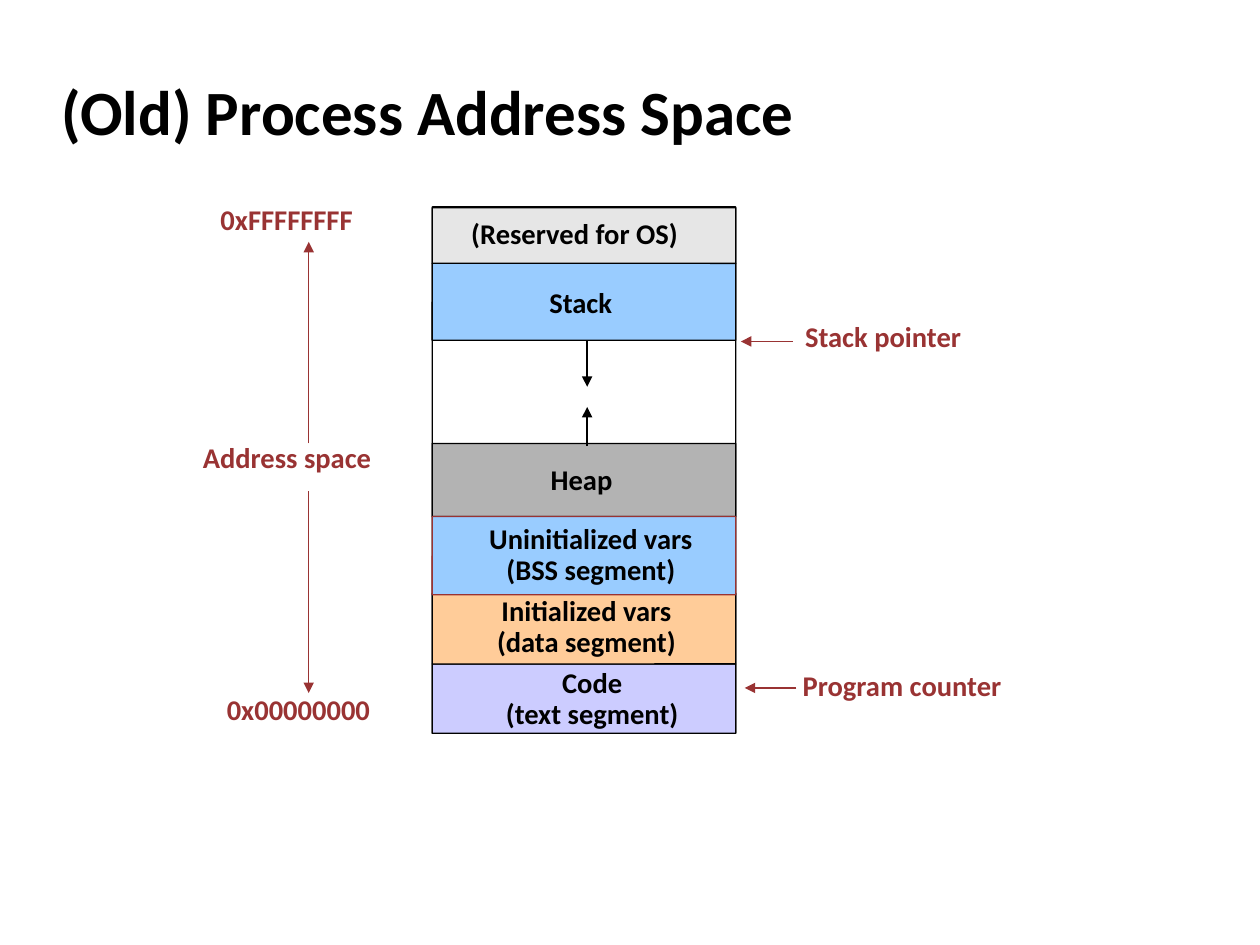
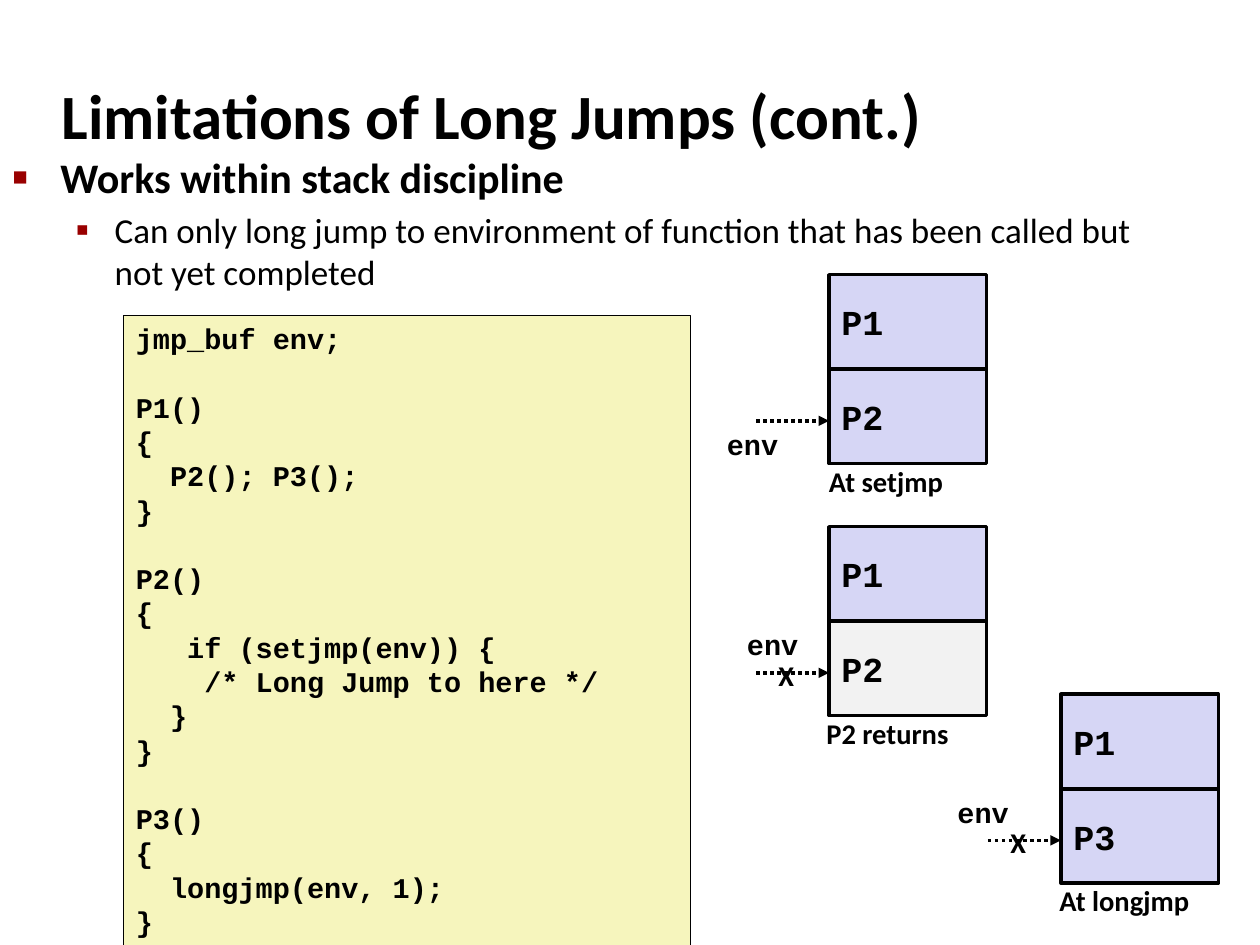
from dataclasses import dataclass

from lxml import etree
from pptx import Presentation
from pptx import util as u
from pptx.dml.color import RGBColor
from pptx.enum import dml, shapes, text
from pptx.oxml import ns

COLORS = {
    "ink": "000000",
    "accent": "993333",
    "bullet": "990000",
    "blue": "99CCFF",
    "lilac": "CCCCFF",
    "orange": "FFCC99",
    "heap": "B3B3B3",
    "reserved": "E6E6E6",
    "code": "F6F5BD",
    "frame": "D6D6F5",
    "dead_frame": "F2F2F2",
}
SANS, MONO = "Calibri", "Courier New"
LABEL_SIZE = 16.3
THIN = 0.74


@dataclass
class Segment:
    top: float
    height: float
    fill: str | None
    line: str = "ink"


@dataclass
class Label:
    lines: tuple[str, ...]
    left: float
    top: float
    width: float
    height: float = 0.26
    color: str = "ink"


@dataclass
class Arrow:
    start: tuple[float, float]
    end: tuple[float, float]
    color: str = "ink"


@dataclass
class CallStack:
    left: float
    top: float
    callee: str
    callee_fill: str
    caption: str
    caption_dx: float
    caption_width: float
    env_dx: float
    env_dy: float
    broken: bool


def rgb(name: str) -> RGBColor:
    return RGBColor.from_string(COLORS[name])


def style(paragraph, size: float, face: str = SANS, color: str = "ink", bold: bool = True) -> None:
    font = paragraph.font
    font.size, font.name, font.bold = u.Pt(size), face, bold
    font.color.rgb = rgb(color)


def indent(paragraph, margin: float, first: float):
    properties = paragraph._p.get_or_add_pPr()
    properties.set("marL", str(u.Inches(margin)))
    properties.set("indent", str(u.Inches(first)))
    return properties


def place(item, left: float, top: float, width: float, height: float) -> None:
    item.left, item.top = u.Inches(left), u.Inches(top)
    item.width, item.height = u.Inches(width), u.Inches(height)


def add_title(slide, wording: str, spacing: float = 1.0) -> None:
    title = slide.shapes.title
    place(title, 0.39, 0.49, 8.3, 0.83)
    frame = title.text_frame
    frame.text = wording
    frame.auto_size = text.MSO_AUTO_SIZE.NONE
    frame.vertical_anchor = text.MSO_ANCHOR.MIDDLE
    heading = frame.paragraphs[0]
    heading.alignment = text.PP_ALIGN.LEFT
    heading.line_spacing = spacing
    indent(heading, 0.13, -0.13)
    style(heading, 36)


def add_bullet(paragraph, wording: str, level: int, margin: float, first: float,
               mark: str, percent: int, size: float, bold: bool) -> None:
    paragraph.text = wording
    paragraph.level = level
    properties = indent(paragraph, margin, first)
    tint = etree.SubElement(properties, ns.qn("a:buClr"))
    etree.SubElement(tint, ns.qn("a:srgbClr")).set("val", COLORS["bullet"])
    etree.SubElement(properties, ns.qn("a:buSzPct")).set("val", str(percent * 1000))
    etree.SubElement(properties, ns.qn("a:buChar")).set("char", mark)
    style(paragraph, size, bold=bold)


def add_box(parent, kind, left: float, top: float, width: float, height: float,
            fill: str | None, line: str, weight: float):
    box = parent.add_shape(kind, *map(u.Inches, (left, top, width, height)))
    box.shadow.inherit = False
    if fill:
        box.fill.solid()
        box.fill.fore_color.rgb = rgb(fill)
    else:
        box.fill.background()
    box.line.color.rgb = rgb(line)
    box.line.width = u.Pt(weight)
    return box


def add_arrow(parent, arrow: Arrow, weight: float = THIN, dotted: bool = False) -> None:
    ends = map(u.Inches, (*arrow.start, *arrow.end))
    connector = parent.add_connector(shapes.MSO_CONNECTOR.STRAIGHT, *ends)
    connector.line.color.rgb = rgb(arrow.color)
    connector.line.width = u.Pt(weight)
    if dotted:
        connector.line.dash_style = dml.MSO_LINE.ROUND_DOT
    properties = connector._element.spPr
    outline = properties.find(ns.qn("a:ln"))
    etree.SubElement(outline, ns.qn("a:tailEnd")).set("type", "triangle")
    etree.SubElement(properties, ns.qn("a:effectLst"))


def add_segment(parent, segment: Segment) -> None:
    box = add_box(parent, shapes.MSO_SHAPE.ROUNDED_RECTANGLE, 3.43, segment.top, 2.41,
                  segment.height, segment.fill, segment.line, THIN)
    box.adjustments[0] = 0.003


def add_label(parent, label: Label) -> None:
    box = parent.add_textbox(*map(u.Inches, (label.left, label.top, label.width, label.height)))
    frame = box.text_frame
    frame.margin_left = frame.margin_right = frame.margin_top = frame.margin_bottom = 0
    frame.word_wrap = False
    frame.text = "\n".join(label.lines)
    for index, paragraph in enumerate(frame.paragraphs):
        paragraph.line_spacing = 0.9 if index else 0.93
        if len(label.lines) > 1:
            paragraph.alignment = text.PP_ALIGN.CENTER
        style(paragraph, LABEL_SIZE, color=label.color)


def add_note(parent, wording: str, left: float, top: float, width: float, face: str = SANS) -> None:
    box = parent.add_textbox(*map(u.Inches, (left, top, width, 0.38)))
    frame = box.text_frame
    frame.word_wrap = False
    frame.auto_size = text.MSO_AUTO_SIZE.SHAPE_TO_FIT_TEXT
    frame.text = wording
    style(frame.paragraphs[0], LABEL_SIZE, face)


def add_call_stack(slide, stack: CallStack) -> None:
    group = slide.shapes.add_group_shape().shapes
    left, top = stack.left, stack.top
    frames = (("P1", "frame"), (stack.callee, stack.callee_fill))
    for row, (function, fill) in enumerate(frames):
        box = add_box(group, shapes.MSO_SHAPE.RECTANGLE, left, top + 0.75 * row,
                      1.25, 0.75, fill, "ink", 2)
        box.text_frame.word_wrap = False
        box.text_frame.vertical_anchor = text.MSO_ANCHOR.MIDDLE
        box.text_frame.text = function
        name = box.text_frame.paragraphs[0]
        name.alignment = text.PP_ALIGN.LEFT
        style(name, 20, MONO)
    add_arrow(group, Arrow((left - 0.58, top + 1.16), (left, top + 1.16)), 2, dotted=True)
    add_note(group, stack.caption, left + stack.caption_dx, top + 1.45, stack.caption_width)
    add_note(group, "env", left + stack.env_dx, top + stack.env_dy, 0.61, MONO)
    if stack.broken:
        add_note(group, "X", left - 0.5, top + 0.99, 0.33)


def add_code(slide, lines: tuple[str, ...]) -> None:
    listing = add_box(slide.shapes, shapes.MSO_SHAPE.RECTANGLE, 0.98, 2.5, 4.5, 5.05,
                      "code", "ink", 0.25)
    frame = listing.text_frame
    frame.vertical_anchor = text.MSO_ANCHOR.TOP
    frame.text = "\n".join(line.lstrip() for line in lines)
    line_height = u.Pt(19.6)
    character_width = LABEL_SIZE * 0.6 / 72
    for line, paragraph in zip(lines, frame.paragraphs):
        paragraph.alignment = text.PP_ALIGN.LEFT
        paragraph.line_spacing = line_height
        if line.endswith("()"):
            paragraph.space_before = line_height
        indent(paragraph, (len(line) - len(line.lstrip())) * character_width, 0)
        style(paragraph, LABEL_SIZE, MONO)


SEGMENTS = (
    Segment(1.64, 4.18, None),
    Segment(2.09, 0.61, "blue"),
    Segment(5.27, 0.55, "lilac"),
    Segment(4.71, 0.56, "orange"),
    Segment(3.52, 0.58, "heap"),
    Segment(4.1, 0.62, "blue", "accent"),
    Segment(1.65, 0.44, "reserved"),
)
LABELS = (
    Label(("(Reserved for OS)",), 3.74, 1.74, 1.9),
    Label(("Stack",), 4.36, 2.29, 0.59),
    Label(("Heap",), 4.37, 3.69, 0.58),
    Label(("Uninitialized vars", "(BSS segment)"), 3.73, 4.16, 1.92, 0.53),
    Label(("Initialized vars", "(data segment)"), 3.84, 4.73, 1.63, 0.53),
    Label(("Code", "(text segment)"), 3.91, 5.3, 1.58, 0.53),
    Label(("0xFFFFFFFF",), 1.75, 1.63, 1.44, color="accent"),
    Label(("Address space",), 1.61, 3.52, 1.61, color="accent"),
    Label(("0x00000000",), 1.8, 5.52, 1.36, color="accent"),
    Label(("Stack pointer",), 6.39, 2.56, 1.43, color="accent"),
    Label(("Program counter",), 6.37, 5.33, 1.85, color="accent"),
)
ARROWS = (
    Arrow((4.66, 2.71), (4.66, 3.07)),
    Arrow((4.66, 3.54), (4.66, 3.23)),
    Arrow((2.45, 3.52), (2.45, 1.92), "accent"),
    Arrow((2.45, 3.9), (2.45, 5.5), "accent"),
    Arrow((6.29, 2.71), (5.88, 2.71), "accent"),
    Arrow((6.32, 5.46), (5.91, 5.46), "accent"),
)
CODE = (
    "jmp_buf env;",
    "P1()", "{", "  P2(); P3();", "}",
    "P2()", "{", "   if (setjmp(env)) {", "    /* Long Jump to here */", "  }", "}",
    "P3()", "{", "  longjmp(env, 1);", "}",
)
CALL_STACKS = (
    CallStack(6.58, 2.18, "P2", "frame", "At setjmp", -0.1, 1.12, -0.91, 1.16, False),
    CallStack(8.42, 5.51, "P3", "frame", "At longjmp", -0.11, 1.24, -0.92, 0.75, True),
    CallStack(6.58, 4.18, "P2", "dead_frame", "P2 returns", -0.12, 1.18, -0.75, 0.75, True),
)


def build_address_space(deck) -> None:
    slide = deck.slides.add_slide(deck.slide_layouts[5])
    add_title(slide, "(Old) Process Address Space", 0.93)
    for segment in SEGMENTS:
        add_segment(slide.shapes, segment)
    for label in LABELS:
        add_label(slide.shapes, label)
    for arrow in ARROWS:
        add_arrow(slide.shapes, arrow)


def build_long_jumps(deck) -> None:
    slide = deck.slides.add_slide(deck.slide_layouts[1])
    add_title(slide, "Limitations of Long Jumps (cont.)")
    body = slide.placeholders[1]
    place(body, 0, 1.15, 9.09, 1.27)
    points = body.text_frame
    points.auto_size = text.MSO_AUTO_SIZE.NONE
    add_bullet(points.paragraphs[0], "Works within stack discipline",
               0, 0.38, -0.38, "■", 60, 24, True)
    add_bullet(points.add_paragraph(),
               "Can only long jump to environment of function that has been called "
               "but not yet completed", 1, 0.81, -0.31, "▪", 110, 20, False)
    add_code(slide, CODE)
    for stack in CALL_STACKS:
        add_call_stack(slide, stack)


presentation = Presentation()
presentation.slide_width, presentation.slide_height = u.Inches(10), u.Inches(7.5)
build_address_space(presentation)
build_long_jumps(presentation)
presentation.save("out.pptx")
